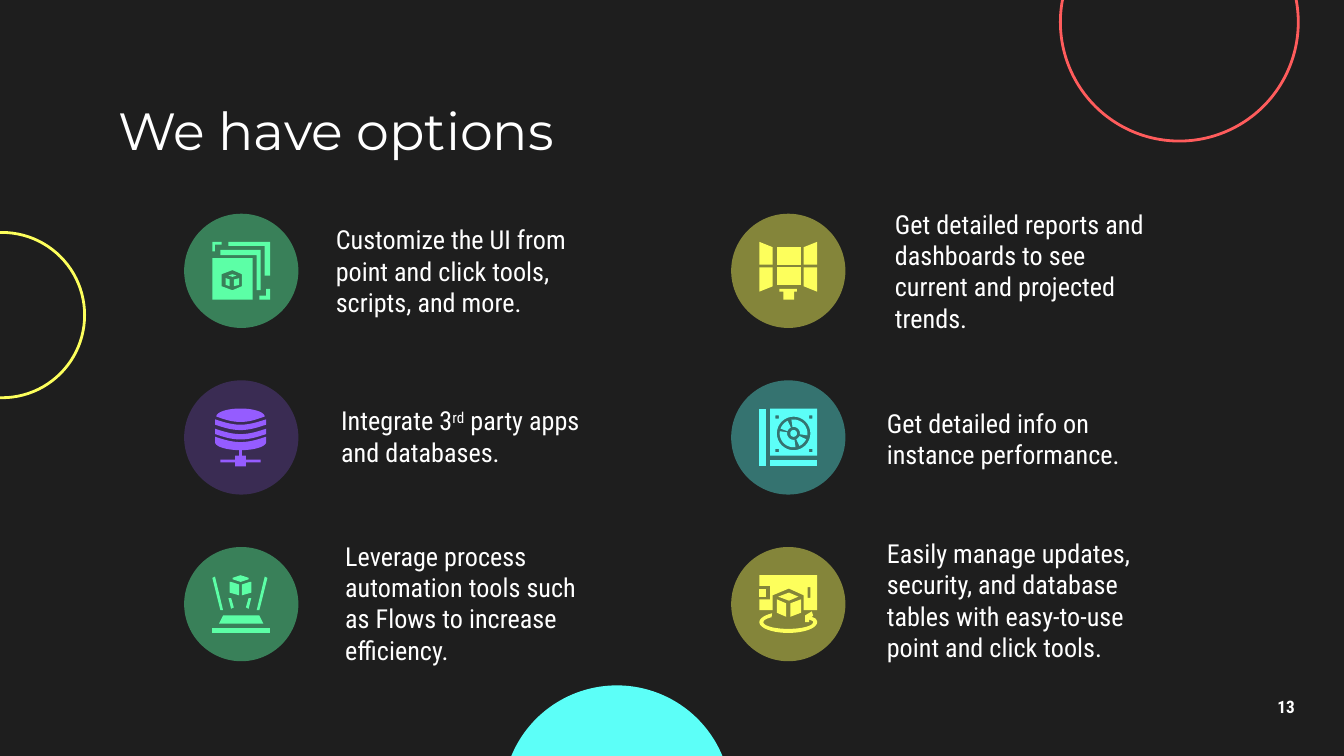
from math import cos, pi, radians, sin

from lxml.etree import SubElement
from pptx import Presentation
from pptx.dml.color import RGBColor
from pptx.enum.shapes import MSO_SHAPE as Shape
from pptx.enum.text import MSO_ANCHOR as Anchor, PP_ALIGN as Align
from pptx.oxml.ns import qn
from pptx.util import Inches, Pt

WHITE, GREEN, PURPLE = "FFFFFF", "5CFFA6", "955CFF"
YELLOW, CYAN, RED = "FDFF5C", "5CFFF8", "FF5C5C"


def color(hex_code):
    return RGBColor.from_string(hex_code)


def write(box, *parts, size=14, font="Roboto Condensed", fill=WHITE, bold=False,
          align=Align.LEFT, spacing=None):
    """Write one paragraph; a part is a string or a (string, baseline) pair."""
    frame = box.text_frame
    frame.word_wrap = True
    frame.vertical_anchor = Anchor.MIDDLE
    frame.margin_left = frame.margin_right = Inches(0.1)
    frame.margin_top = frame.margin_bottom = Inches(0.1)
    para = frame.paragraphs[0]
    para.alignment = align
    if spacing:
        para.line_spacing = spacing
    for part in parts:
        words, baseline = part if isinstance(part, tuple) else (part, 0)
        span = para.add_run()
        span.text = words
        span.font.name, span.font.size = font, Pt(size)
        span.font.bold = bold
        span.font.color.rgb = color(fill)
        if baseline:
            span._r.get_or_add_rPr().set("baseline", str(baseline * 1000))


# Outlines, in hundredths of an inch from the icon's corner
def poly(text):
    return [tuple(map(float, pair.split(","))) for pair in text.split()]


def rect(left, top, right, bottom):
    return [(left, top), (right, top), (right, bottom), (left, bottom)]


def arc(x, y, rx, ry, start, end, steps=32):
    angles = [radians(start + (end - start) * i / steps) for i in range(steps + 1)]
    return [(x + rx * cos(a), y + ry * sin(a)) for a in angles]


def bow(left, right, y, depth, steps=24):
    return [(left + (right - left) * i / steps, y + depth * sin(pi * i / steps))
            for i in range(steps + 1)]


def band(top):
    return bow(2, 40, top, 4) + bow(40, 2, top + 4, 4)


def blade(start, end):
    return arc(25.5, 18.5, 10.3, 10.3, start, end) + arc(25.5, 18.5, 4.8, 4.8, end, start)


# Each icon is a list of pieces; each piece is a list of outlines (first solid, then holes)
WINDOWS = [
    [poly("12,0 12,3 39,3 39,25 43,25 43,0")],
    [poly("6,6 6,10 33,10 33,36 36,36 36,6")],
    [rect(0, 12, 30, 43), poly("15,21 22,24 22,33 15,36 7,33 7,24")],
    [poly("15,24 12,25 15,26 18,25")],
    [poly("20,27 16,28 16,33 20,32")],
    [poly("10,27 10,32 13,33 13,28")],
    [poly("40,35 40,40 35,40 35,43 43,43 43,35")],
    [poly("0,0 0,7 2,7 2,2 7,2 7,0")],
]
DATABASE = [
    [poly("20,31 20,35 17,35 17,38 6,38 6,40 17,40 17,43 25,43 25,40 36,40 36,38 "
          "25,38 25,35 22,35 22,31")],
    [arc(21, 6, 18, 6, 180, 360) + bow(39, 3, 6, 4)],
    [band(8)],
    [band(15)],
    [bow(2, 40, 21, 4) + arc(21, 25, 19, 6, 0, 180)],
]
PROJECTOR = [
    [poly("13,5 13,13 20,15 20,7 14,5")],
    [poly("21,0 15,2 15,3 21,5 27,3 27,2")],
    [poly("29,5 28,5 22,7 22,15 29,13")],
    [poly("2,1 0,2 6,26 8,26")],
    [poly("39,1 33,26 35,26 41,2")],
    [poly("14,17 12,17 14,25 16,24")],
    [poly("27,17 25,24 27,25 29,17")],
    [poly("8,30 5,36 38,36 35,30")],
    [rect(0, 39, 43, 43)],
]
SCREENS = [
    [poly("15,35 15,37 18,37 18,43 26,43 26,37 28,37 28,35")],
    [rect(13, 4, 31, 17)],
    [rect(13, 19, 31, 32)],
    [poly("0,0 0,17 10,17 10,4")],
    [poly("0,19 0,37 10,33 10,19")],
    [poly("43,0 33,4 33,17 43,17")],
    [poly("33,19 33,33 43,37 43,19")],
]
DRIVE = [
    [rect(0, 0, 5, 43)],
    [rect(8, 38, 43, 43)],
    [rect(8, 0, 43, 35), arc(25.5, 18.5, 12.5, 12.5, 0, 360)]
    + [rect(x, y, x + 2.5, y + 2.5) for x in (12, 37) for y in (5, 30)],
    [arc(25.5, 18.5, 2.5, 2.5, 0, 360)],
    *[[blade(*angles)] for angles in ((25, 65), (82, 189), (200, 245), (261, 368))],
]
TURNTABLE = [
    [rect(0, 10, 5, 16)],
    [poly("39,27 34,30 34,35 37,35 37,33") + arc(21.5, 35, 18.5, 5, -10, 228)
     + arc(21.5, 35, 21.5, 8, 236, -20) + poly("39,31 40,30")],
    [poly("22,13 14,16 22,19 29,16")],
    [poly("13,18 13,28 20,31 20,21")],
    [poly("31,18 23,21 23,31 31,28")],
    [poly("0,0 0,8 8,8 8,18 0,18 0,26 10,26 10,15 22,10 33,15 33,26 43,26 43,0"),
     rect(36, 9, 38, 17)],
]


class OptionsSlide:
    def __init__(self, deck):
        self.page = deck.slides.add_slide(deck.slide_layouts[5])
        background = self.page.background.fill
        background.solid()
        background.fore_color.rgb = color("1E1E1E")

    def paint(self, shape, fill=None, line=None, opacity=None):
        shape.shadow.inherit = False
        if fill:
            shape.fill.solid()
            shape.fill.fore_color.rgb = color(fill)
        else:
            shape.fill.background()
        if line:
            shape.line.color.rgb = color(line)
            shape.line.width = Pt(1.5)
        else:
            shape.line.fill.background()
        if opacity:
            tint = shape._element.spPr.find(qn("a:solidFill")).find(qn("a:srgbClr"))
            SubElement(tint, qn("a:alpha")).set("val", str(opacity * 1000))

    def circle(self, left, top, size, **style):
        shape = self.page.shapes.add_shape(
            Shape.OVAL, Inches(left), Inches(top), Inches(size), Inches(size))
        self.paint(shape, **style)

    def title(self, words, left, top, width, height):
        box = self.page.shapes.title
        box.left, box.top = Inches(left), Inches(top)
        box.width, box.height = Inches(width), Inches(height)
        write(box, words, size=28, font="Montserrat")

    def label(self, left, top, width, height, *parts, **style):
        box = self.page.shapes.add_textbox(
            Inches(left), Inches(top), Inches(width), Inches(height))
        write(box, *parts, **style)

    def icon(self, left, top, pieces, fill):
        group = self.page.shapes.add_group_shape()
        for outlines in pieces:
            placed = [[(Inches(left + x / 100), Inches(top + y / 100)) for x, y in outline]
                      for outline in outlines]
            builder = group.shapes.build_freeform(*placed[0][0])
            builder.add_line_segments(placed[0][1:], close=True)
            for hole in placed[1:]:
                builder.move_to(*hole[0])
                builder.add_line_segments(hole[1:], close=True)
            self.paint(builder.convert_to_shape(), fill=fill)


def main():
    # A 16:9 page
    deck = Presentation()
    deck.slide_width, deck.slide_height = Inches(10), Inches(10 * 9 / 16)
    slide = OptionsSlide(deck)

    # Decoration, page number and title
    slide.circle(-0.6, 1.73, 1.23, line=YELLOW)
    slide.circle(3.74, 5.1, 1.7, fill=CYAN)
    slide.circle(7.89, -0.72, 1.77, line=RED)
    slide.label(9.27, 5.1, 0.6, 0.34, "13", size=9.2, bold=True,
                align=Align.CENTER, spacing=0.9)
    slide.title("We have options", 0.78, 0.71, 8.44, 0.51)

    # Options, down each column: icon, color, opacity, label place, text
    options = [
        (WINDOWS, GREEN, 44, (2.4, 1.66, 0.71),
         ["Customize the UI from point and click tools, scripts, and more."]),
        (DATABASE, PURPLE, 24, (2.44, 2.84, 0.81),
         ["Integrate 3", ("rd", 30), " party apps and databases."]),
        (PROJECTOR, GREEN, 44, (2.47, 4.23, 0.51),
         ["Leverage process automation tools such as Flows to increase efficiency."]),
        (SCREENS, YELLOW, 46, (6.56, 1.76, 0.51),
         ["Get detailed reports and dashboards to see current and projected trends."]),
        (DRIVE, CYAN, 38, (6.5, 3.01, 0.51),
         ["Get detailed info on instance performance."]),
        (TURNTABLE, YELLOW, 46, (6.5, 4.21, 0.51),
         ["Easily manage updates, security, and database tables with easy-to-use "
          "point and click tools."]),
    ]
    for index, (pieces, fill, opacity, (x, y, height), parts) in enumerate(options):
        column, row = divmod(index, 3)
        left, top = 1.37 + 4.07 * column, 1.59 + 1.24 * row
        slide.circle(left, top, 0.85, fill=fill, opacity=opacity)
        slide.icon(left + 0.21, top + 0.21, pieces, fill)
        slide.label(x, y, 2.09, height, *parts)

    deck.save("out.pptx")


if __name__ == "__main__":
    main()
